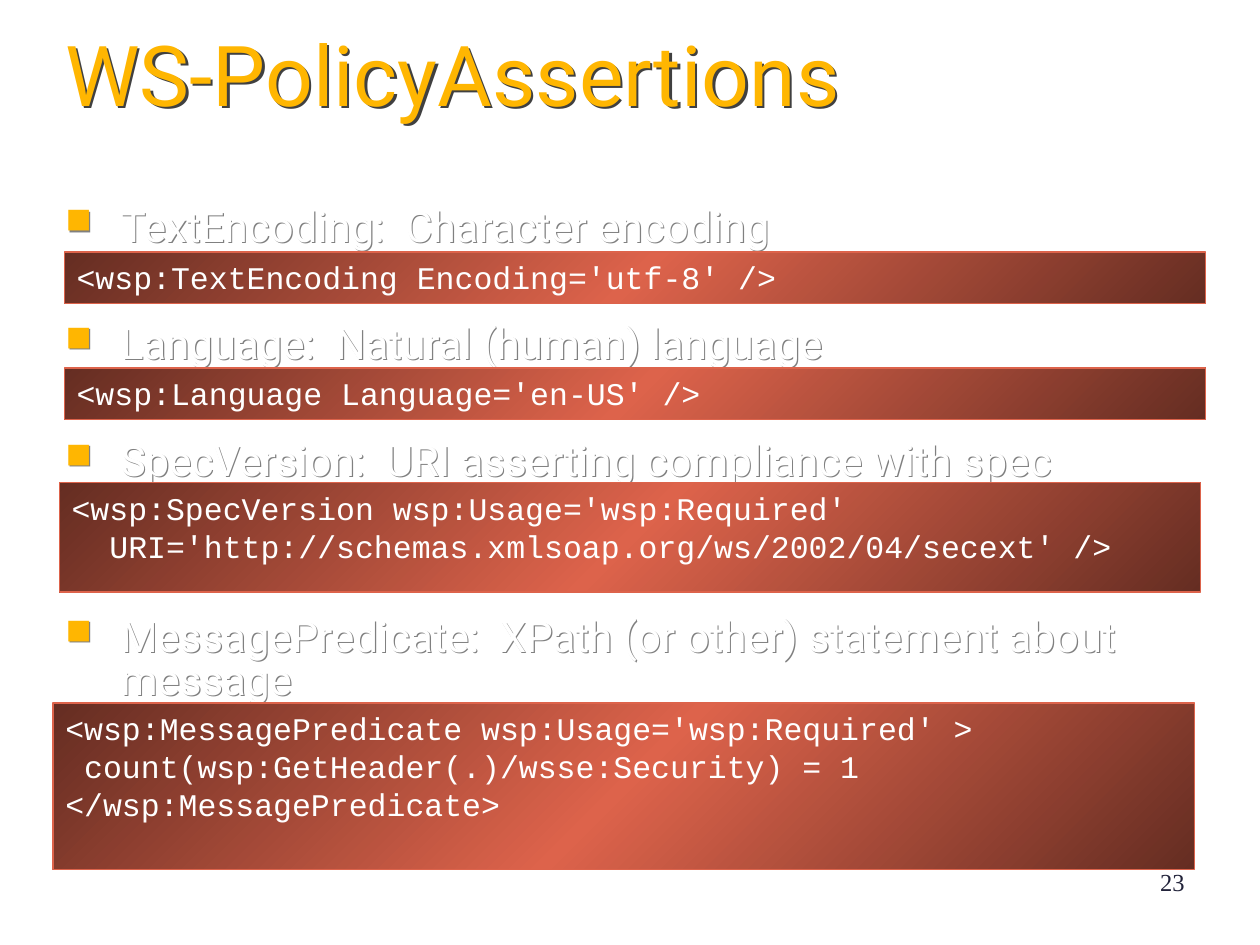
from copy import deepcopy

from lxml import etree
from pptx import Presentation
from pptx.dml.color import RGBColor
from pptx.enum.shapes import MSO_SHAPE
from pptx.enum.text import MSO_ANCHOR, PP_ALIGN
from pptx.oxml.ns import qn
from pptx.util import Inches, Pt

RECTANGLE = MSO_SHAPE.RECTANGLE
TOP, MIDDLE = MSO_ANCHOR.TOP, MSO_ANCHOR.MIDDLE
LEFT, RIGHT = PP_ALIGN.LEFT, PP_ALIGN.RIGHT

AMBER, WHITE, INK = "FFB601", "FFFFFF", "22233A"
RUST, CORAL = "652D22", "DD634B"
DARK_GRAY, GRAY = "404040", "808080"

TITLE_FONT = {"name": "Roboto", "size": Pt(48), "color": AMBER}
BULLET_FONT = {"name": "Roboto", "size": Pt(24), "color": WHITE}
CODE_FONT = {"name": "Courier New", "size": Pt(18), "color": WHITE}
NUMBER_FONT = {"name": "Times New Roman", "size": Pt(14), "color": INK}

# Heading and the space before it in points, leaving room for the code panels
HEADINGS = [
    ("TextEncoding:  Character encoding", 0),
    ("Language:  Natural (human) language", 42.5),
    ("SpecVersion:  URI asserting compliance with spec", 42.5),
    ("MessagePredicate:  XPath (or other) statement about message", 76),
]

# Box of each code panel and its lines
CODE_PANELS = [
    ((0.51, 2, 9.06, 0.41), ["<wsp:TextEncoding Encoding='utf-8' />"]),
    ((0.51, 2.92, 9.06, 0.41), ["<wsp:Language Language='en-US' />"]),
    ((0.47, 3.83, 9.06, 0.87), [
        "<wsp:SpecVersion wsp:Usage='wsp:Required'",
        "  URI='http://schemas.xmlsoap.org/ws/2002/04/secext' />",
    ]),
    ((0.42, 5.58, 9.06, 1.32), [
        "<wsp:MessagePredicate wsp:Usage='wsp:Required' >",
        " count(wsp:GetHeader(.)/wsse:Security) = 1",
        "</wsp:MessagePredicate>",
    ]),
]


def rgb(value):
    return RGBColor.from_string(value)


def inches(box):
    return [Inches(length) for length in box]


def set_font(font, font_format):
    for name, value in font_format.items():
        if name == "color":
            font.color.rgb = rgb(value)
        else:
            setattr(font, name, value)


def write_lines(shape, lines, font_format, paragraph_format, wrap=True, anchor=TOP):
    """Fill a shape with one paragraph per line and return the paragraphs."""
    frame = shape.text_frame
    frame.word_wrap = wrap
    frame.vertical_anchor = anchor
    frame.text = "\n".join(lines)
    for paragraph in frame.paragraphs:
        for name, value in paragraph_format.items():
            setattr(paragraph, name, value)
        set_font(paragraph.runs[0].font, font_format)
    return frame.paragraphs


def add_text_shadow(shape, color, distance):
    """Cast a shadow down and right from the text of an unfilled box."""
    effects = etree.SubElement(shape._element.spPr, qn("a:effectLst"))
    shadow = etree.SubElement(effects, qn("a:outerShdw"), blurRad="0",
                              dist=str(distance), dir="2700000", algn="tl")
    etree.SubElement(shadow, qn("a:srgbClr"), val=color)


def add_bullet(paragraph):
    properties = paragraph._p.get_or_add_pPr()
    properties.set("marL", str(Inches(0.44)))
    properties.set("indent", str(-Inches(0.44)))
    color = etree.SubElement(properties, qn("a:buClr"))
    etree.SubElement(color, qn("a:srgbClr"), val=AMBER)
    etree.SubElement(properties, qn("a:buSzPct"), val="85000")
    etree.SubElement(properties, qn("a:buChar"), char="■")


def add_title(slide, box, text):
    title = slide.shapes.add_textbox(*inches(box))
    paragraph_format = {"alignment": LEFT, "line_spacing": 0.85}
    write_lines(title, [text], TITLE_FONT, paragraph_format, anchor=MIDDLE)
    add_text_shadow(title, DARK_GRAY, Pt(1.8))


def add_headings(slide, box, headings):
    body = slide.shapes.add_textbox(*inches(box))
    paragraphs = write_lines(body, [text for text, _ in headings], BULLET_FONT,
                             {"alignment": LEFT, "line_spacing": 0.85})
    for paragraph, (_, space) in zip(paragraphs, headings):
        if space:
            paragraph.space_before = Pt(space)
        add_bullet(paragraph)
    add_text_shadow(body, GRAY, Pt(1))


def add_code_panel(slide, box, lines):
    panel = slide.shapes.add_shape(RECTANGLE, *inches(box))
    panel.shadow.inherit = False
    panel.line.color.rgb = rgb(CORAL)
    panel.line.width = Pt(0.75)

    # Diagonal gradient, dark at both ends
    panel.fill.gradient()
    panel.fill.gradient_angle = 315
    stop_list = panel._element.spPr.find(qn("a:gradFill")).find(qn("a:gsLst"))
    stop_list.append(deepcopy(stop_list[0]))
    colors = (RUST, CORAL, RUST)
    for index, (stop, color) in enumerate(zip(panel.fill.gradient_stops, colors)):
        stop.position = index / 2
        stop.color.rgb = rgb(color)

    write_lines(panel, lines, CODE_FONT, {"alignment": LEFT}, wrap=False)


def add_slide_number(slide, box, number):
    shape = slide.shapes.add_textbox(*inches(box))
    write_lines(shape, [number], NUMBER_FONT, {"alignment": RIGHT})


def main():
    presentation = Presentation()
    presentation.slide_width = Inches(10)
    presentation.slide_height = Inches(7.5)
    slide = presentation.slides.add_slide(presentation.slide_layouts[6])

    add_title(slide, (0.42, 0.25, 9.18, 0.78), "WS-PolicyAssertions")
    add_headings(slide, (0.42, 1.6, 9.58, 4.04), HEADINGS)
    for box, lines in CODE_PANELS:
        add_code_panel(slide, box, lines)
    add_slide_number(slide, (7.17, 6.83, 2.33, 0.52), "23")

    presentation.save("out.pptx")


if __name__ == "__main__":
    main()
